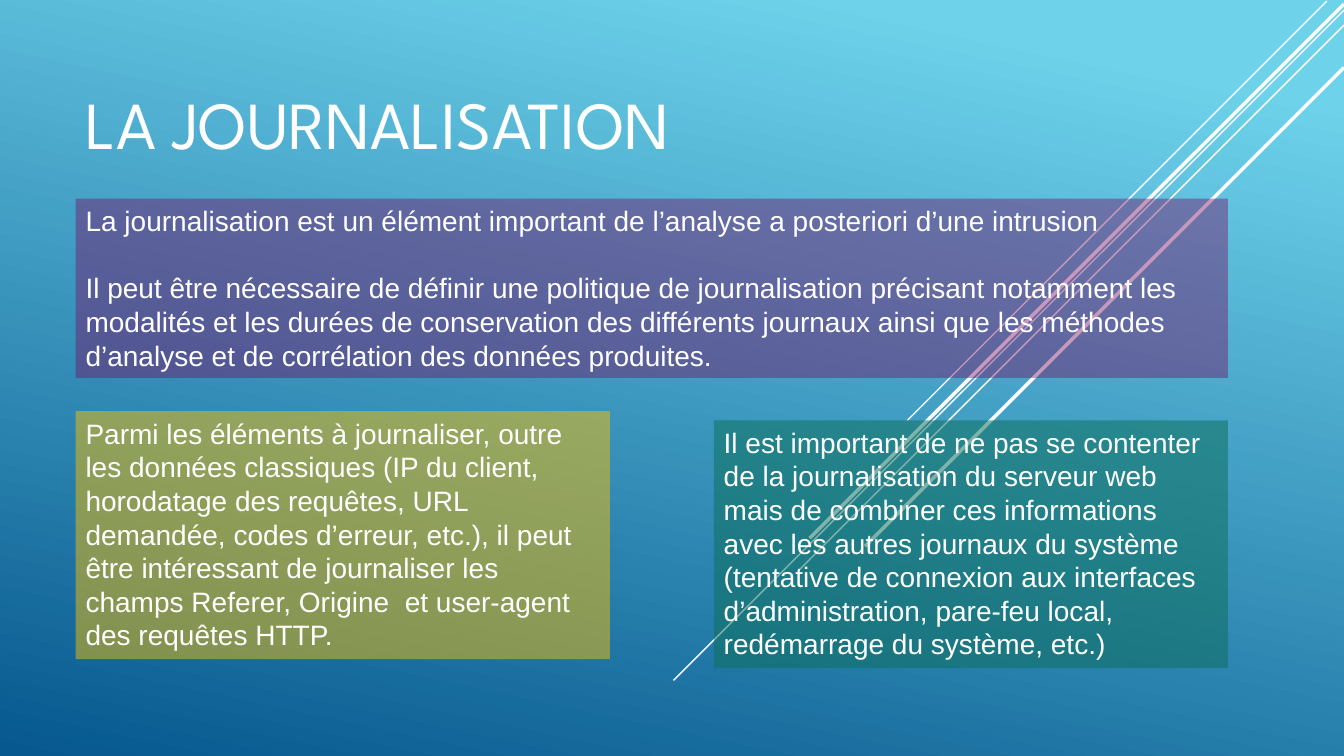
from pptx import Presentation
from pptx.dml.color import RGBColor
from pptx.enum.shapes import MSO_CONNECTOR, MSO_SHAPE
from pptx.enum.text import MSO_ANCHOR, MSO_AUTO_SIZE, PP_ALIGN
from pptx.oxml.ns import qn
from pptx.util import Inches, Pt
from lxml.etree import SubElement


def color(value):
    return RGBColor.from_string(value)


def add_run(paragraph, text, font_name, size):
    run = paragraph.add_run()
    run.text = text
    run.font.name = font_name
    run.font.size = Pt(size)
    run.font.color.rgb = color("FFFFFF")


presentation = Presentation()
presentation.slide_width = Inches(13.33)
presentation.slide_height = Inches(7.5)
slide = presentation.slides.add_slide(presentation.slide_layouts[5])

background = slide.background.fill
background.gradient()
background.gradient_angle = 258
for stop, (position, shade) in zip(background.gradient_stops, [(0.1, "6ED2EB"), (1, "06588E")]):
    stop.position = position
    stop.color.rgb = color(shade)

diagonals = [
    (13.16, 0.01, 4.16, 1),
    (13.33, 0.1, 6.65, 1),
    (13.33, 0.25, 5.42, 1),
    (13.33, 0.04, 5.3, 2.5),
    (13.33, 0.67, 4.75, 2.5),
]
for x, y, reach, width in diagonals:
    line = slide.shapes.add_connector(
        MSO_CONNECTOR.STRAIGHT, Inches(x), Inches(y), Inches(x - reach), Inches(y + reach)
    )
    line.line.color.rgb = color("FFFFFF")
    line.line.width = Pt(width)
    SubElement(line._element.spPr, qn("a:effectLst"))

title = slide.shapes.title
title.left, title.top = Inches(0.75), Inches(0.75)
title.width, title.height = Inches(11.6), Inches(0.92)
title.text_frame.vertical_anchor = MSO_ANCHOR.BOTTOM
title.text_frame.auto_size = MSO_AUTO_SIZE.NONE
title_paragraph = title.text_frame.paragraphs[0]
title_paragraph.alignment = PP_ALIGN.LEFT
add_run(title_paragraph, "LA JOURNALISATION", "League Spartan", 48)
slide.shapes._spTree.append(title._element)

panels = [
    (0.75, 1.97, 11.43, 1.78, "7C0B61", 42, [
        "La journalisation est un élément important de l’analyse a posteriori d’une intrusion",
        "Il peut être nécessaire de définir une politique de journalisation précisant notamment "
        "les modalités et les durées de conservation des différents journaux ainsi que les "
        "méthodes d’analyse et de corrélation des données produites.",
    ]),
    (0.75, 4.08, 5.3, 2.46, "FFC000", 48, [
        "Parmi les éléments à journaliser, outre les données classiques (IP du client, "
        "horodatage des requêtes, URL demandée, codes d’erreur, etc.), il peut être intéressant "
        "de journaliser les champs Referer, Origine  et user-agent des requêtes HTTP.",
    ]),
    (7.08, 4.17, 5.1, 2.46, "0F705D", 53, [
        "Il est important de ne pas se contenter de la journalisation du serveur web mais de "
        "combiner ces informations avec les autres journaux du système (tentative de connexion "
        "aux interfaces d’administration, pare-feu local, redémarrage du système, etc.)",
    ]),
]
for left, top, width, height, shade, opacity, texts in panels:
    panel = slide.shapes.add_shape(
        MSO_SHAPE.RECTANGLE, Inches(left), Inches(top), Inches(width), Inches(height)
    )
    panel.shadow.inherit = False
    panel.line.fill.background()
    panel.fill.solid()
    panel.fill.fore_color.rgb = color(shade)
    fill_color = panel._element.spPr.find(qn("a:solidFill")).find(qn("a:srgbClr"))
    SubElement(fill_color, qn("a:alpha"), val=str(opacity * 1000))
    frame = panel.text_frame
    frame.word_wrap = True
    frame.auto_size = MSO_AUTO_SIZE.SHAPE_TO_FIT_TEXT
    frame.vertical_anchor = MSO_ANCHOR.TOP
    for index, text in enumerate(texts):
        paragraph = frame.add_paragraph() if index else frame.paragraphs[0]
        paragraph.alignment = PP_ALIGN.LEFT
        paragraph.space_before = Pt(24 if index else 0)
        add_run(paragraph, text, "Arial", 20)

presentation.save("out.pptx")
